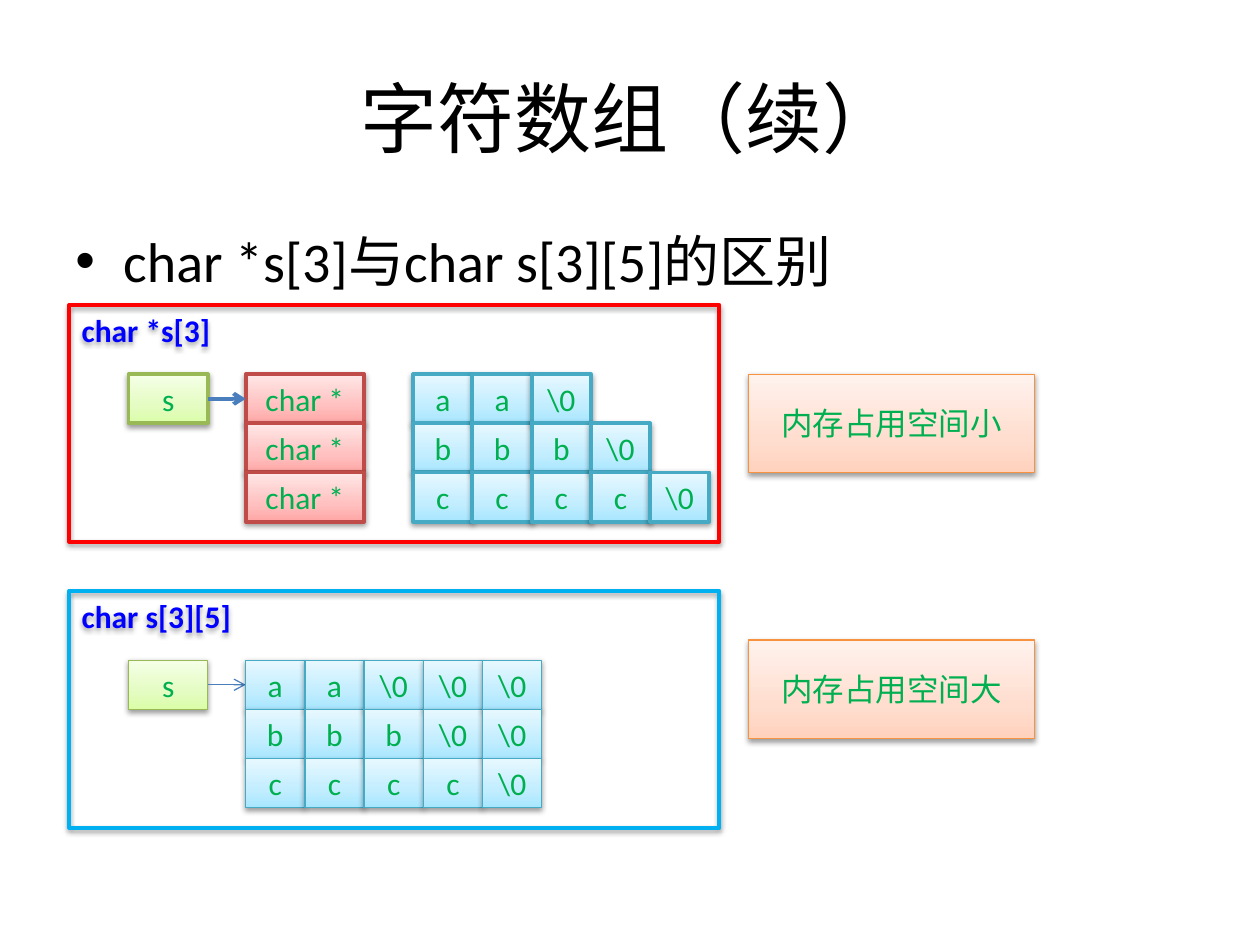
from lxml.etree import SubElement
from pptx import Presentation
from pptx.dml.color import RGBColor
from pptx.enum.shapes import MSO_CONNECTOR as Connector, MSO_SHAPE as Shape
from pptx.enum.text import MSO_ANCHOR as Anchor, PP_ALIGN as Align
from pptx.oxml.ns import qn
from pptx.util import Inches, Pt

TITLE = "字符数组（续）"
TOPIC = "char *s[3]与char s[3][5]的区别"
PANELS = [
    {
        "label": "char *s[3]", "top": 2.42, "frame": "red", "weight": 2.25,
        "pointers": ["char *"] * 3, "cells_left": 3.28,
        "rows": [["a", "a", "\\0"],
                 ["b", "b", "b", "\\0"],
                 ["c", "c", "c", "c", "\\0"]],
        "note": "内存占用空间小", "note_top": 2.97,
    },
    {
        "label": "char s[3][5]", "top": 4.69, "frame": "sky", "weight": 0.75,
        "pointers": [], "cells_left": 1.95,
        "rows": [["a", "a", "\\0", "\\0", "\\0"],
                 ["b", "b", "b", "\\0", "\\0"],
                 ["c", "c", "c", "c", "\\0"]],
        "note": "内存占用空间大", "note_top": 5.08,
    },
]

COLORS = {"black": "000000", "label": "0000FF", "text": "00B050",
          "red": "FF0000", "sky": "00B0F0", "arrow": "4B7EBC"}
THEMES = {
    "name": {"line": "98B955", "stops": ["DAFDA7", "E4FCC2", "F5FFE7"]},
    "pointer": {"line": "BF4C48", "stops": ["FFA6A5", "FFC0BF", "FFE7E7"]},
    "cell": {"line": "46AAC5", "stops": ["A7E6FF", "C1EDFF", "E7F8FF"]},
    "note": {"line": "F69240", "stops": ["FFD2BD", "FFDED0", "FFF2ED"]},
}
STOP_POSITIONS = [0, 35, 100]

FRAME_LEFT, FRAME_W, FRAME_H = 0.55, 5.16, 1.88
NAME_LEFT, NAME_W = 1.02, 0.63
ARRAY_LEFT, POINTER_W = 1.95, 0.94
CELL_W, ROW_H, FIRST_ROW = 0.47, 0.39, 0.55
NOTE_LEFT, NOTE_W, NOTE_H = 5.94, 2.27, 0.78

prs = Presentation()
prs.slide_width, prs.slide_height = Inches(10), Inches(7.5)
slide = prs.slides.add_slide(prs.slide_layouts[6])


def write(holder, text, size, color, align, anchor, bold=False):
    frame = holder.text_frame
    frame.word_wrap = True
    frame.vertical_anchor = anchor
    paragraph = frame.paragraphs[0]
    paragraph.text = text
    paragraph.alignment = align
    font = paragraph.font
    font.name, font.size, font.bold = "Calibri", Pt(size), bold
    font.color.rgb = RGBColor.from_string(color)
    return paragraph


def add_heading(text, box, size, align, anchor):
    holder = slide.shapes.add_textbox(*map(Inches, box))
    return write(holder, text, size, COLORS["black"], align, anchor)


def add_rect(box, line, weight):
    rect = slide.shapes.add_shape(Shape.RECTANGLE, *map(Inches, box))
    rect.fill.background()
    rect.line.color.rgb = RGBColor.from_string(line)
    rect.line.width = Pt(weight)
    rect.shadow.inherit = False
    effects = rect._element.spPr.find(qn("a:effectLst"))
    shadow = SubElement(effects, qn("a:outerShdw"), blurRad="40000",
                        dist="20000", dir="5400000", rotWithShape="0")
    tint = SubElement(shadow, qn("a:srgbClr"), val=COLORS["black"])
    SubElement(tint, qn("a:alpha"), val="38000")
    return rect


def add_block(text, box, theme, weight):
    block = add_rect(box, THEMES[theme]["line"], weight)
    block.fill.gradient()
    block.fill.gradient_angle = 90
    stops = block._element.spPr.find(".//" + qn("a:gsLst"))
    stops.clear()
    for position, color in zip(STOP_POSITIONS, THEMES[theme]["stops"]):
        stop = SubElement(stops, qn("a:gs"), pos=str(position * 1000))
        SubElement(stop, qn("a:srgbClr"), val=color)
    write(block, text, 18, COLORS["text"], Align.CENTER, Anchor.MIDDLE)


def add_arrow(start, end, y, weight):
    arrow = slide.shapes.add_connector(
        Connector.STRAIGHT, Inches(start), Inches(y), Inches(end), Inches(y))
    arrow.line.color.rgb = RGBColor.from_string(COLORS["arrow"])
    arrow.line.width = Pt(weight)
    SubElement(arrow.line._get_or_add_ln(), qn("a:tailEnd"), type="arrow")
    SubElement(arrow._element.spPr, qn("a:effectLst"))


def add_panel(panel):
    weight = panel["weight"]
    first_row = panel["top"] + FIRST_ROW
    add_block("s", (NAME_LEFT, first_row, NAME_W, ROW_H), "name", weight)
    for row, pointer in enumerate(panel["pointers"]):
        add_block(pointer, (ARRAY_LEFT, first_row + row * ROW_H, POINTER_W, ROW_H),
                  "pointer", weight)
    add_arrow(NAME_LEFT + NAME_W, ARRAY_LEFT, first_row + ROW_H / 2, weight)

    frame = add_rect((FRAME_LEFT, panel["top"], FRAME_W, FRAME_H),
                     COLORS[panel["frame"]], 2.25)
    write(frame, panel["label"], 18, COLORS["label"], Align.LEFT, Anchor.TOP, True)

    for column in range(max(map(len, panel["rows"]))):
        for row, letters in enumerate(panel["rows"]):
            if column < len(letters):
                box = (panel["cells_left"] + column * CELL_W,
                       first_row + row * ROW_H, CELL_W, ROW_H)
                add_block(letters[column], box, "cell", weight)

    add_block(panel["note"], (NOTE_LEFT, panel["note_top"], NOTE_W, NOTE_H),
              "note", 0.75)


add_heading(TITLE, (0.5, 0.3, 9, 1.25), 44, Align.CENTER, Anchor.MIDDLE)
topic = add_heading(TOPIC, (0.5, 1.75, 9, 4.95), 32, Align.LEFT, Anchor.TOP)
topic.space_before = Pt(6.4)
bullet_style = topic._p.get_or_add_pPr()
bullet_style.set("marL", str(Inches(0.38)))
bullet_style.set("indent", str(-Inches(0.38)))
bullet_font = SubElement(bullet_style, qn("a:buFont"), typeface="Arial")
bullet = SubElement(bullet_style, qn("a:buChar"), char="•")
default_run = bullet_style.find(qn("a:defRPr"))
default_run.addprevious(bullet_font)
default_run.addprevious(bullet)

for panel in PANELS:
    add_panel(panel)

prs.save("out.pptx")
